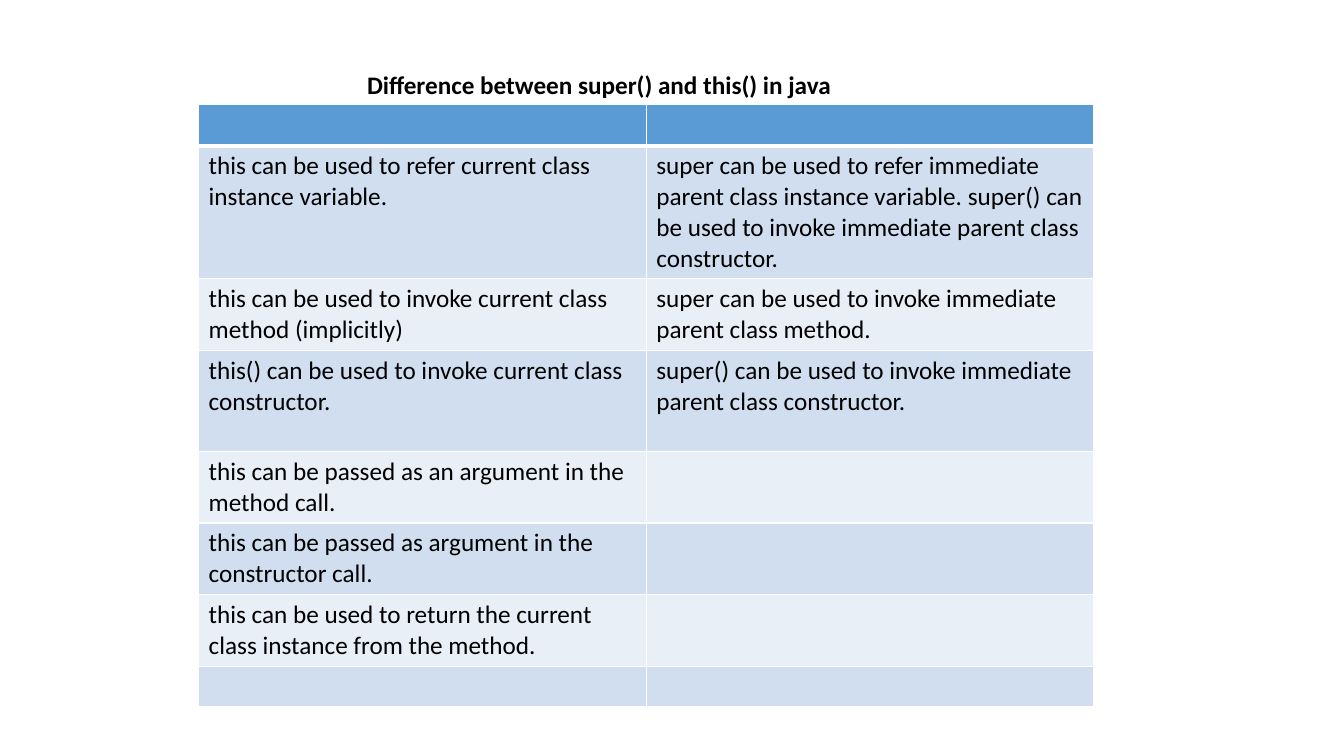
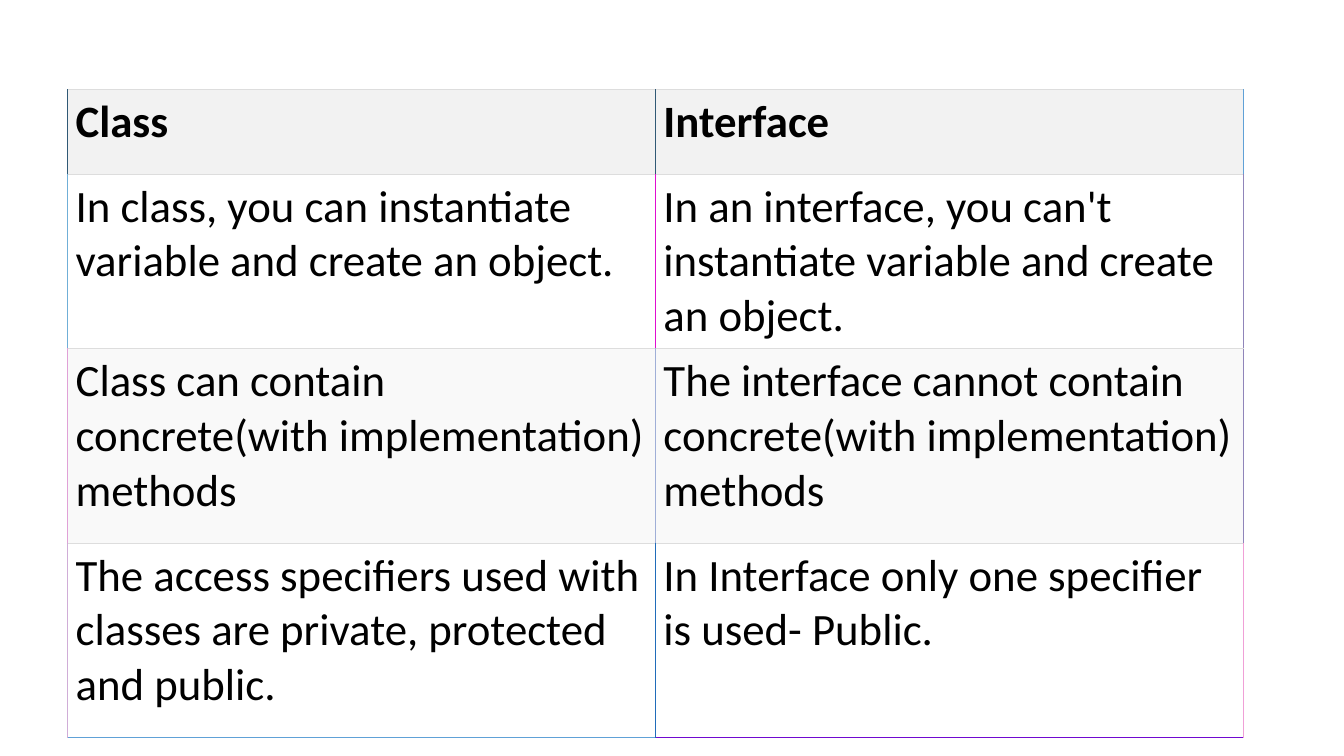
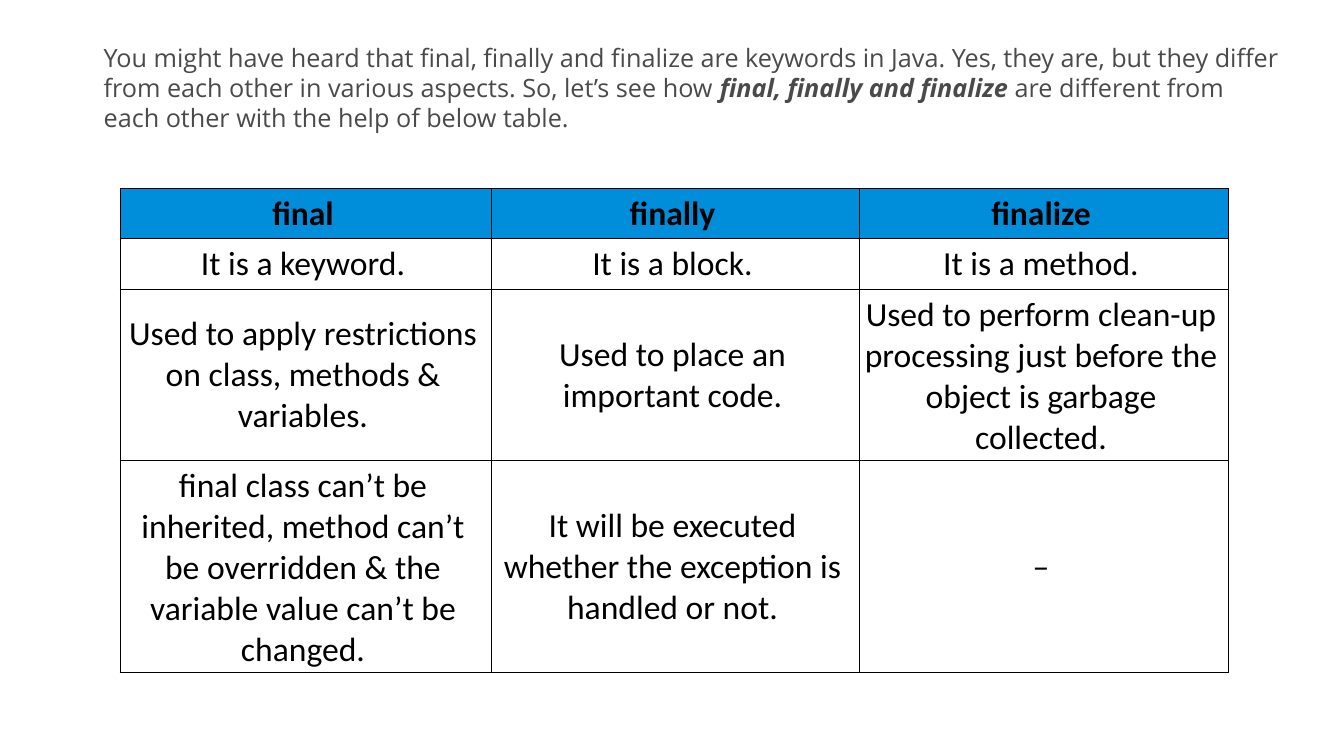
from dataclasses import dataclass

from pptx import Presentation
from pptx.dml.color import RGBColor
from pptx.enum.text import MSO_ANCHOR, MSO_AUTO_SIZE, PP_ALIGN
from pptx.oxml.ns import qn
from pptx.util import Inches, Pt
from lxml import etree

LEFT, CENTER = PP_ALIGN.LEFT, PP_ALIGN.CENTER
TOP, MIDDLE = MSO_ANCHOR.TOP, MSO_ANCHOR.MIDDLE
NO_AUTOFIT = MSO_AUTO_SIZE.NONE

TITLE_ONLY, BLANK = 5, 6
TABLE_FONT, INTRO_FONT = "Calibri", "Open Sans"

BLACK = RGBColor(0x00, 0x00, 0x00)
WHITE = RGBColor(0xFF, 0xFF, 0xFF)
INTRO_GRAY = RGBColor(0x4A, 0x4A, 0x4A)
HEADER_BLUE = RGBColor(0x5B, 0x9B, 0xD5)
BAND_DARK = RGBColor(0xD1, 0xDE, 0xEF)
BAND_LIGHT = RGBColor(0xE9, 0xEF, 0xF7)
HEADER_GRAY = RGBColor(0xF2, 0xF2, 0xF2)
BAND_GRAY = RGBColor(0xF9, 0xF9, 0xF9)
HEADER_CYAN = RGBColor(0x00, 0x8D, 0xD9)
RULE_GRAY = RGBColor(0xDD, 0xDD, 0xDD)
SLATE = RGBColor(0x30, 0x59, 0x75)
SKY = RGBColor(0x60, 0xA1, 0xD7)
PALE_SKY = RGBColor(0x70, 0xAF, 0xD7)
MAGENTA = RGBColor(0xE0, 0x0D, 0xD0)
MAUVE = RGBColor(0x90, 0x85, 0xBA)
PINK = RGBColor(0xE0, 0xA1, 0xD7)
PERIWINKLE = RGBColor(0xA0, 0xAF, 0xD7)
LILAC = RGBColor(0xD0, 0xAD, 0xD7)
COBALT = RGBColor(0x20, 0x6C, 0xBA)
ROSE = RGBColor(0xF0, 0xA0, 0xD7)
VIOLET = RGBColor(0x70, 0x09, 0xD0)

THIS_SUPER_ROWS = [
    ("", ""),
    ("this can be used to refer current class instance variable.",
     "super can be used to refer immediate parent class instance variable. "
     "super() can be used to invoke immediate parent class constructor."),
    ("this can be used to invoke current class method (implicitly)",
     "super can be used to invoke immediate parent class method."),
    ("this() can be used to invoke current class constructor.",
     "super() can be used to invoke immediate parent class constructor."),
    ("this can be passed as an argument in the method call.", ""),
    ("this can be passed as argument in the constructor call.", ""),
    ("this can be used to return the current class instance from the method.", ""),
    ("", ""),
]
CLASS_INTERFACE_ROWS = [
    ("Class", "Interface"),
    ("In class, you can instantiate variable and create an object.",
     "In an interface, you can't instantiate variable and create an object."),
    ("Class can contain concrete(with implementation) methods",
     "The interface cannot contain concrete(with implementation) methods"),
    ("The access specifiers used with classes are private, protected and public.",
     "In Interface only one specifier is used- Public."),
]
FINAL_ROWS = [
    ("final", "finally", "finalize"),
    ("It is a keyword.", "It is a block.", "It is a method."),
    ("Used to apply restrictions on class, methods & variables.",
     "Used to place an important code.",
     "Used to perform clean-up processing just before the object is garbage collected."),
    ("final class can’t be inherited, method can’t be overridden & the variable "
     "value can’t be changed.",
     "It will be executed whether the exception is handled or not.", "–"),
]
INTRO_RUNS = [
    ("You might have heard that final, finally and finalize are keywords in Java. "
     "Yes, they are, but they differ from each other in various aspects. "
     "So, let’s see how ", False),
    ("final, finally and finalize", True),
    (" are different from each other with the help of below table.", False),
]


@dataclass
class TableStyle:
    """Look of a table; rules are (colour, points) pairs, one per cell edge."""
    size: int
    header: RGBColor
    bands: tuple
    horizontal: list
    vertical: list
    align: PP_ALIGN = LEFT
    anchor: MSO_ANCHOR = TOP
    margin_left: float = 0.1
    margin_right: float = 0.1


def set_font(font, name, size, color, bold=False):
    """Set the common properties of a font."""
    font.name, font.size, font.bold = name, Pt(size), bold
    font.color.rgb = color


def add_cell_border(cell, side, rule):
    """Add a border to one side (L, R, T or B) of a cell."""
    color, width = rule
    line = etree.SubElement(cell._tc.get_or_add_tcPr(), qn(f"a:ln{side}"), w=str(Pt(width)))
    fill = etree.SubElement(line, qn("a:solidFill"))
    etree.SubElement(fill, qn("a:srgbClr"), val=str(color))


def format_cell(cell, text, style, row, column):
    """Write the text of a cell and give it borders, fill and font."""
    add_cell_border(cell, "L", style.vertical[row][column])
    add_cell_border(cell, "R", style.vertical[row][column + 1])
    add_cell_border(cell, "T", style.horizontal[row][column])
    add_cell_border(cell, "B", style.horizontal[row + 1][column])
    cell.fill.solid()
    cell.fill.fore_color.rgb = style.bands[(row - 1) % len(style.bands)] if row else style.header
    cell.margin_left = Inches(style.margin_left)
    cell.margin_right = Inches(style.margin_right)
    cell.vertical_anchor = style.anchor
    cell.text = text
    paragraph = cell.text_frame.paragraphs[0]
    paragraph.alignment = style.align
    set_font(paragraph.font, TABLE_FONT, style.size, BLACK, bold=row == 0)


def add_styled_table(slide, rows, left, top, widths, heights, style):
    """Add a table with the given column widths and row heights."""
    frame = slide.shapes.add_table(len(rows), len(widths), Inches(left), Inches(top),
                                   Inches(sum(widths)), Inches(sum(heights)))
    table = frame.table
    table.horz_banding = False
    for column, width in zip(table.columns, widths):
        column.width = Inches(width)
    for row, height in zip(table.rows, heights):
        row.height = Inches(height)
    for row, texts in enumerate(rows):
        for column, text in enumerate(texts):
            format_cell(table.cell(row, column), text, style, row, column)


def set_title(slide, text, left, top, width, height):
    """Place and format the title placeholder."""
    title = slide.shapes.title
    title.left, title.top = Inches(left), Inches(top)
    title.width, title.height = Inches(width), Inches(height)
    title.text = text
    frame = title.text_frame
    frame.word_wrap, frame.auto_size = False, NO_AUTOFIT
    frame.vertical_anchor = TOP
    paragraph = frame.paragraphs[0]
    paragraph.alignment = LEFT
    set_font(paragraph.font, TABLE_FONT, 18, BLACK, bold=True)


def add_intro(slide, runs, left, top, width, height):
    """Add a wrapped paragraph whose emphasised runs are bold italic."""
    box = slide.shapes.add_textbox(Inches(left), Inches(top), Inches(width), Inches(height))
    box.text_frame.word_wrap = True
    paragraph = box.text_frame.paragraphs[0]
    for text, emphasised in runs:
        run = paragraph.add_run()
        run.text = text
        set_font(run.font, INTRO_FONT, 18, INTRO_GRAY, bold=emphasised)
        run.font.italic = emphasised


def build_this_super(slide):
    """Build the comparison of this() and super()."""
    set_title(slide, "Difference between super() and this() in java", 3.54, 0.64, 4.81, 0.4)
    thin, thick = (WHITE, 0.96), (WHITE, 3)
    style = TableStyle(18, HEADER_BLUE, (BAND_DARK, BAND_LIGHT),
                       horizontal=[[thin] * 2, [thick] * 2] + [[thin] * 2] * 7,
                       vertical=[[thin] * 3] * 8)
    add_styled_table(slide, THIS_SUPER_ROWS, 1.97, 1.04, [4.44] * 2,
                     [0.4, 1.3, 0.7, 1, 0.7, 0.7, 0.7, 0.4], style)


def build_class_interface(slide):
    """Build the comparison of class and interface."""
    edge_colors = [
        (SLATE, SLATE, SKY),
        (PALE_SKY, MAGENTA, MAUVE),
        (PINK, PERIWINKLE, MAUVE),
        (LILAC, COBALT, ROSE),
    ]
    style = TableStyle(32, HEADER_GRAY, (WHITE, BAND_GRAY),
                       horizontal=[[(RULE_GRAY, 0.75)] * 2] * 4 + [[(SKY, 0.96), (VIOLET, 0.96)]],
                       vertical=[[(color, 0.75 if color == SLATE else 0.96) for color in colors]
                                 for colors in edge_colors],
                       margin_left=0.08, margin_right=0.08)
    add_styled_table(slide, CLASS_INTERFACE_ROWS, 0.67, 0.89, [5.83] * 2,
                     [0.84, 1.7, 1.93, 1.93], style)


def build_final(slide):
    """Build the comparison of final, finally and finalize."""
    add_intro(slide, INTRO_RUNS, 0.93, 0.37, 11.9, 1)
    rule = (BLACK, 0.75)
    style = TableStyle(24, HEADER_CYAN, (WHITE,),
                       horizontal=[[rule] * 3] * 5, vertical=[[rule] * 4] * 4,
                       align=CENTER, anchor=MIDDLE, margin_left=0.05)
    add_styled_table(slide, FINAL_ROWS, 1.19, 1.87, [3.68, 3.65, 3.66],
                     [0.5, 0.5, 1.7, 2.1], style)


def main():
    """Build the presentation and save it."""
    presentation = Presentation()
    presentation.slide_width, presentation.slide_height = Inches(13.33), Inches(7.5)
    for layout, build in ((TITLE_ONLY, build_this_super), (BLANK, build_class_interface),
                          (BLANK, build_final)):
        build(presentation.slides.add_slide(presentation.slide_layouts[layout]))
    presentation.save("out.pptx")


if __name__ == "__main__":
    main()
